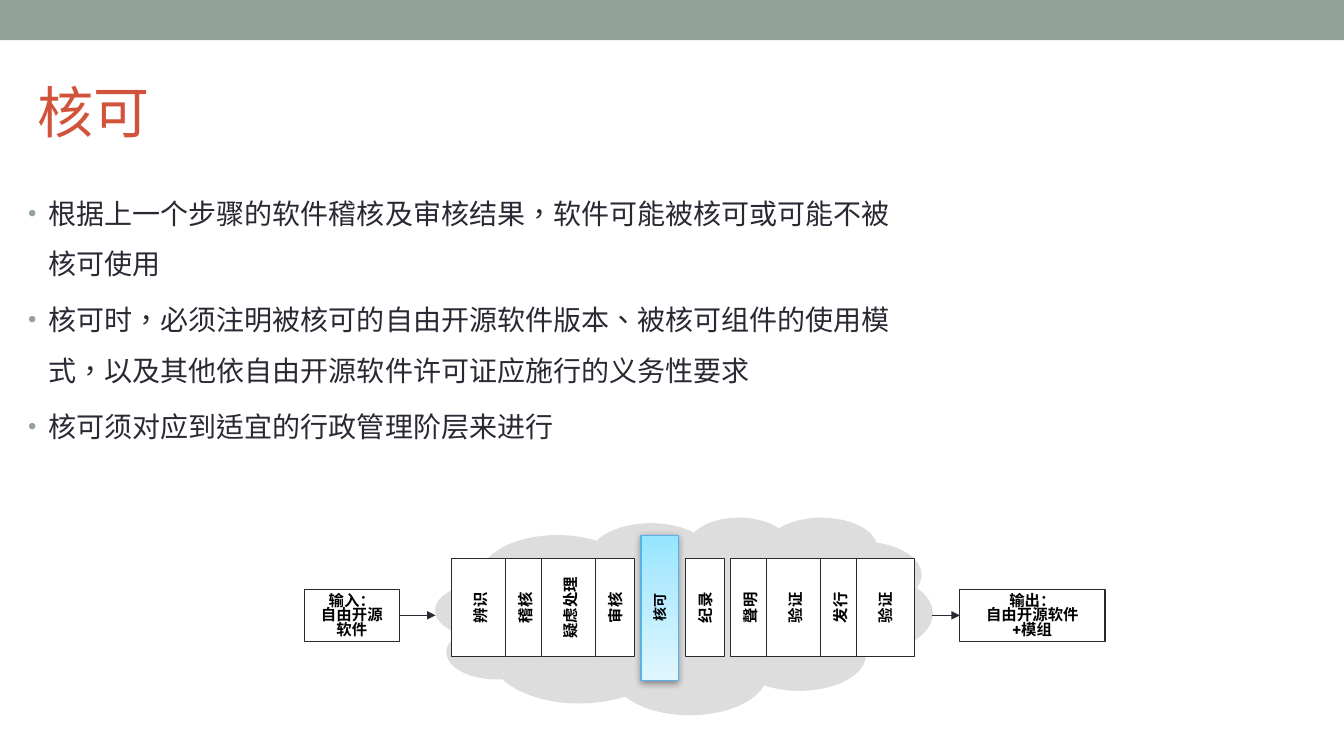
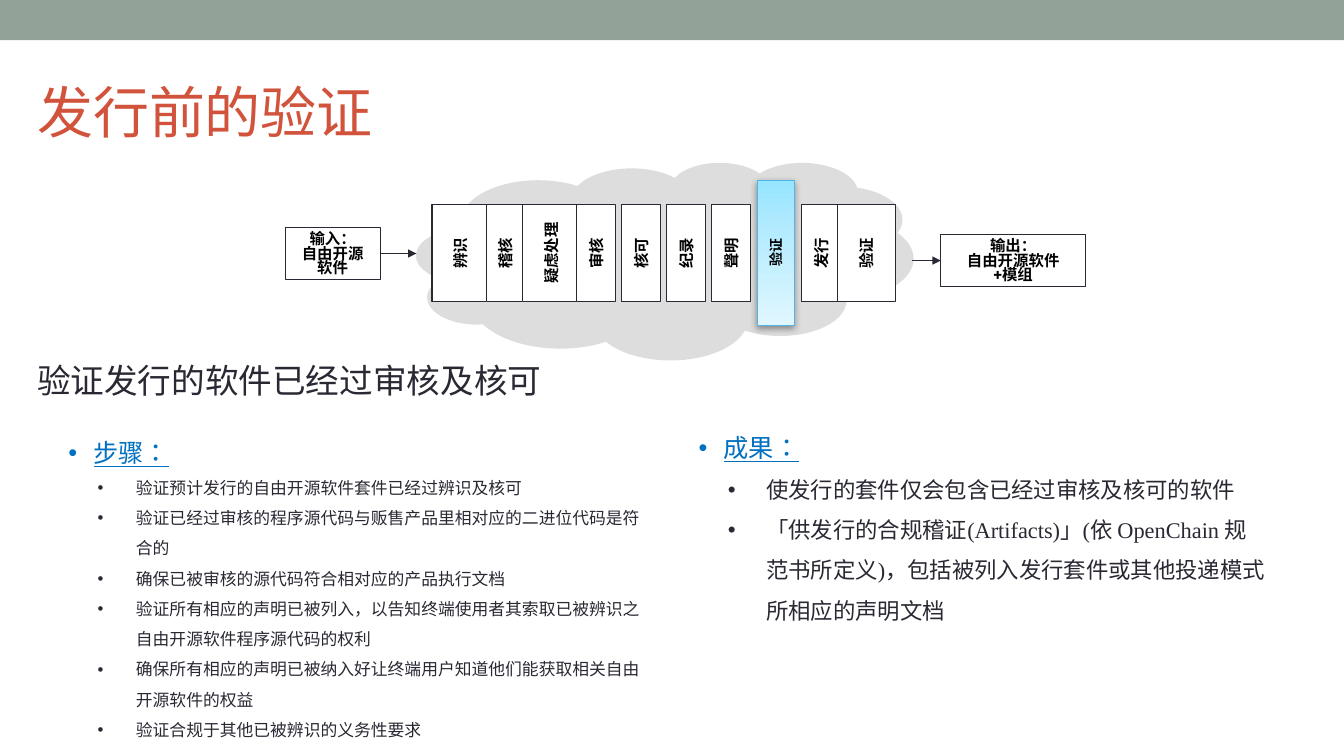
import pptx
import pptx.util
import pptx.dml.color
import pptx.enum.shapes
import pptx.enum.text
import pptx.oxml
import pptx.oxml.ns
import lxml.etree

Inches, Pt = pptx.util.Inches, pptx.util.Pt
RGB = pptx.dml.color.RGBColor.from_string
KIND = pptx.enum.shapes.MSO_SHAPE
MID = pptx.enum.text.MSO_ANCHOR.MIDDLE
TOP = pptx.enum.text.MSO_ANCHOR.TOP
CENTER = pptx.enum.text.PP_ALIGN.CENTER
qn = pptx.oxml.ns.qn

HUE = {"band": "93A299", "title": "D2533C", "ink": "292934", "head": "0070C0",
       "cloud": "DDDDDD", "white": "FFFFFF", "black": "000000", "edge": "55B4E5"}
GLOW = [(0, "95E5FF"), (0.35, "B4EBFF"), (1, "E0F7FF")]
SERIF, SANS = "Times New Roman", "Roboto"


def box(slide, x, y, w, h, kind=None, fill=None, line=None, anchor=TOP):
    """Add a preset shape, or a text box when no kind is given."""
    area = Inches(x), Inches(y), Inches(w), Inches(h)
    if kind is None:
        item = slide.shapes.add_textbox(*area)
    else:
        item = slide.shapes.add_shape(kind, *area)
        item.shadow.inherit = False
        if fill:
            item.fill.solid()
            item.fill.fore_color.rgb = RGB(HUE[fill])
        if line:
            item.line.color.rgb = RGB(HUE[line])
            item.line.width = Pt(0.75)
        else:
            item.line.fill.background()
    item.text_frame.word_wrap = True
    item.text_frame.vertical_anchor = anchor
    return item


def write(item, text, size=11, font=SANS, hue="black", bold=False, under=False,
          align=None, space=None, before=None, dot=None, dot_size=None,
          left=0, lang="zh-CN", hang=0):
    """Add one paragraph to a shape; dot names the bullet colour."""
    frame = item.text_frame
    para = frame.add_paragraph() if frame.text else frame.paragraphs[0]
    run = para.add_run()
    run.text = text
    run.font.size, run.font.name = Pt(size), font
    run.font.bold, run.font.underline = bold, under
    run.font.color.rgb = RGB(HUE[hue])
    run._r.get_or_add_rPr().set("lang", lang)
    para.alignment = align
    if space:
        para.line_spacing = space
    if before:
        para.space_before = Pt(before)
    if dot:
        props = para._p.get_or_add_pPr()
        props.set("marL", str(Inches(left)))
        props.set("indent", str(-Inches(hang)))
        tint = lxml.etree.SubElement(props, qn("a:buClr"))
        lxml.etree.SubElement(tint, qn("a:srgbClr"), val=HUE[dot])
        if dot_size:
            lxml.etree.SubElement(props, qn("a:buSzPct"), val=str(dot_size * 1000))
        lxml.etree.SubElement(props, qn("a:buFont"), typeface="Arial")
        lxml.etree.SubElement(props, qn("a:buChar"), char="•")


STEPS = ["辨识", "稽核", "疑虑处理", "审核", "核可", "纪录", "聲明", "验证", "发行", "验证"]
WIDE = (0, 2, 7, 9)
GAP = 0.447

# Per slide: title, cloud corner, drop of the input box, current step
PAGES = [("核可", 4.32, 5.13, 0.72, 4), ("发行前的验证", 4.13, 1.61, 0.65, 7)]

deck = pptx.Presentation()
deck.slide_width, deck.slide_height = Inches(13.33), Inches(7.5)
slides = []

for title, x, y, drop, now in PAGES:
    slide = deck.slides.add_slide(deck.slide_layouts[6])
    slides.append(slide)

    # Band and title
    box(slide, 0, 0, 13.33, 0.4, KIND.RECTANGLE, "band")
    head = box(slide, 0.27, 0.56, 12, 1.08, anchor=MID)
    write(head, title, size=40, font=SERIF, hue="title")

    # Cloud behind the steps
    cloud = box(slide, x, y, 4.93, 1.96, KIND.CLOUD_CALLOUT, "cloud")
    cloud.adjustments[0], cloud.adjustments[1] = -0.007, 0.116

    # Steps, read from bottom to top
    for i, name in enumerate(STEPS):
        mid_x, mid_y = x + 0.44 + i * GAP, y + 0.9
        if i == now:
            bar = box(slide, mid_x - 0.19, mid_y - 0.72, 0.37, 1.44,
                      KIND.RECTANGLE, line="edge")
            bar.fill.gradient()
            bar.fill.gradient_angle = 270
            stops = bar._element.spPr.find(qn("a:gradFill")).find(qn("a:gsLst"))
            for stop in list(stops):
                stops.remove(stop)
            for pos, tone in GLOW:
                stop = lxml.etree.SubElement(stops, qn("a:gs"), pos=str(int(pos * 100000)))
                lxml.etree.SubElement(stop, qn("a:srgbClr"), val=tone)
            glow = lxml.etree.SubElement(
                bar._element.spPr.find(qn("a:effectLst")), qn("a:outerShdw"),
                blurRad=str(Pt(5)), dist=str(Pt(1.6)), dir="5400000", rotWithShape="0")
            tint = lxml.etree.SubElement(glow, qn("a:srgbClr"), val=HUE["black"])
            lxml.etree.SubElement(tint, qn("a:alpha"), val="38000")
            step = box(slide, mid_x - 0.72, mid_y - 0.19, 1.44, 0.37, anchor=MID)
        else:
            tall = 0.57 if i in WIDE else 0.39
            step = box(slide, mid_x - 0.485, mid_y - tall / 2, 0.97, tall,
                       KIND.RECTANGLE, "white", "ink", MID)
        step.rotation = 270
        write(step, name, size=10 if i == now else 11, bold=True, align=CENTER)

    # Input and output boxes
    ends = []
    for left, down, wide, lines in [
            (-1.3, drop, 0.94, ["输入：", "自由开源软件"]),
            (5.2, 0.72, 1.44, ["输出：", "自由开源软件", "+模组"])]:
        end = box(slide, x + left, y + down, wide, 0.51, KIND.RECTANGLE, "white", "ink")
        for line in lines:
            write(end, line, bold=True, align=CENTER, space=Pt(10.5))
        ends.append(end)

    # Arrows into and out of the cloud
    for k, (end, edge) in enumerate(zip(ends, (x, x + 4.92))):
        mid = end.top + end.height // 2
        arrow = slide.shapes.add_connector(
            pptx.enum.shapes.MSO_CONNECTOR.STRAIGHT, Inches(edge), mid, Inches(edge), mid)
        if k == 0:
            arrow.begin_connect(end, 3)
        else:
            arrow.end_connect(end, 1)
        arrow.line.color.rgb = RGB(HUE["ink"])
        arrow.line.width = Pt(0.75)
        lxml.etree.SubElement(arrow.line._get_or_add_ln(), qn("a:tailEnd"), type="triangle")
        lxml.etree.SubElement(arrow._element.spPr, qn("a:effectLst"))

# Approval: main points
body = box(slides[0], 0, 1.58, 9.25, 2.99)
frame = body.text_frame
frame.margin_left, frame.margin_top = Inches(0.28), Inches(0.2)
frame.margin_right, frame.margin_bottom = Inches(0.2), Inches(0.24)
for i, point in enumerate([
        "根据上一个步骤的软件稽核及审核结果，软件可能被核可或可能不被核可使用",
        "核可时，必须注明被核可的自由开源软件版本、被核可组件的使用模式，"
        "以及其他依自由开源软件许可证应施行的义务性要求",
        "核可须对应到适宜的行政管理阶层来进行"]):
    write(body, point, size=20, font=SERIF, hue="ink", space=1.5, before=4 if i else None,
          dot="band", dot_size=85, left=0.2, hang=0.2, lang="zh-TW")

# Verification: lead line
lead = box(slides[1], 0.27, 3.52, 13.06, 0.5)
write(lead, "验证发行的软件已经过审核及核可", size=24, font=SERIF, hue="ink")

# Verification: steps and results
for x, y, w, h, head, size, points in [
        (0.58, 4.14, 5.97, 3.03, "步骤：", 12, [
            "验证预计发行的自由开源软件套件已经过辨识及核可",
            "验证已经过审核的程序源代码与贩售产品里相对应的二进位代码是符合的",
            "确保已被审核的源代码符合相对应的产品执行文档",
            "验证所有相应的声明已被列入，以告知终端使用者其索取已被辨识之自由开源软件程序源代码的权利",
            "确保所有相应的声明已被纳入好让终端用户知道他们能获取相关自由开源软件的权益",
            "验证合规于其他已被辨识的义务性要求"]),
        (6.83, 4.09, 5.82, 2.93, "成果：", 16, [
            "使发行的套件仅会包含已经过审核及核可的软件",
            "「供发行的合规稽证(Artifacts)」(依 OpenChain 规范书所定义)，"
            "包括被列入发行套件或其他投递模式所相应的声明文档"])]:
    column = box(slides[1], x, y, w, h)
    write(column, head, size=18, font=SERIF, hue="head", under=True, space=1.5,
          dot="head", left=0.25, hang=0.25, lang="zh-TW")
    for point in points:
        write(column, point, size=size, font=SERIF, hue="ink", space=1.5,
              dot="ink", left=0.67, hang=0.38)

deck.save("out.pptx")
